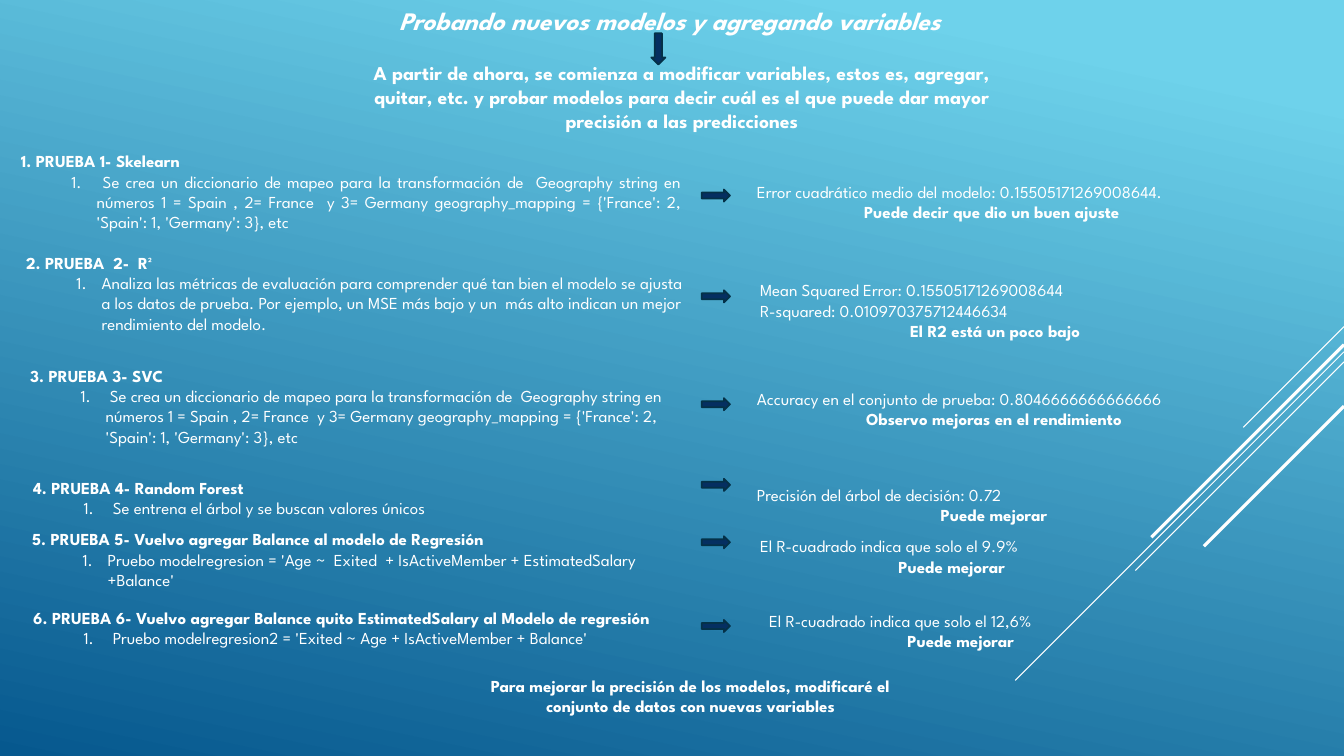
from collections import namedtuple

from lxml import etree
from pptx import Presentation
from pptx.dml.color import RGBColor
from pptx.enum.shapes import MSO_CONNECTOR, MSO_SHAPE
from pptx.enum.text import MSO_ANCHOR, MSO_AUTO_SIZE, PP_ALIGN
from pptx.oxml.ns import qn
from pptx.util import Inches, Pt

WHITE = RGBColor(0xFF, 0xFF, 0xFF)
SKY = RGBColor(0x6E, 0xD2, 0xEB)
OCEAN = RGBColor(0x06, 0x58, 0x8E)
NAVY = RGBColor(0x05, 0x2F, 0x61)
NAVY_EDGE = RGBColor(0x04, 0x31, 0x48)

LEFT, CENTER, JUSTIFY = PP_ALIGN.LEFT, PP_ALIGN.CENTER, PP_ALIGN.JUSTIFY
TOP, MIDDLE = MSO_ANCHOR.TOP, MSO_ANCHOR.MIDDLE
NO_FIT = MSO_AUTO_SIZE.NONE
STRAIGHT = MSO_CONNECTOR.STRAIGHT
RIGHT_ARROW, DOWN_ARROW = MSO_SHAPE.RIGHT_ARROW, MSO_SHAPE.DOWN_ARROW

FONT = "League Spartan"
SLIDE_WIDTH, SLIDE_HEIGHT = 13.33, 7.5
LINE_HEIGHT, BOX_PADDING = 0.2, 0.1
TEST_WIDTH, ARROW_LEFT = 6.75, 6.96

Test = namedtuple("Test", "left top lines heading detail align arrow_top")
Result = namedtuple("Result", "left top width findings verdict")

MAPPING = (" Se crea un diccionario de mapeo para la transformación de  Geography string en "
           "números 1 = Spain , 2= France  y 3= Germany geography_mapping = "
           "{'France': 2, 'Spain': 1, 'Germany': 3}, etc")
ROWS = [
    (Test(0.11, 1.45, 5, "1. PRUEBA 1- Skelearn", MAPPING, JUSTIFY, 1.88),
     Result(7.41, 1.75, 4.9, ["Error cuadrático medio del modelo: 0.15505171269008644."],
            "Puede decir que dio un buen ajuste ")),
    (Test(0.16, 2.46, 4, "2. PRUEBA  2-  R²",
          "Analiza las métricas de evaluación para comprender qué tan bien el modelo se "
          "ajusta a los datos de prueba. Por ejemplo, un MSE más bajo y un  más alto "
          "indican un mejor rendimiento del modelo.", LEFT, 2.88),
     Result(7.44, 2.73, 4.86, ["Mean Squared Error: 0.15505171269008644",
                               "R-squared: 0.010970375712446634"],
            "El R2 está un poco bajo")),
    (Test(0.2, 3.58, 5, "3. PRUEBA 3- SVC", MAPPING, LEFT, 3.95),
     Result(7.41, 3.81, 4.9, ["Accuracy en el conjunto de prueba: 0.8046666666666666"],
            "Observo mejoras en el rendimiento")),
    (Test(0.23, 4.69, 2, "4. PRUEBA 4- Random Forest",
          " Se entrena el árbol y se buscan valores únicos", LEFT, 4.75),
     Result(7.41, 4.76, 4.9, ["Precisión del árbol de decisión: 0.72"], "Puede mejorar")),
    (Test(0.22, 5.2, 3, "5. PRUEBA 5- Vuelvo agregar Balance al modelo de Regresión",
          "Pruebo modelregresion = 'Age ~  Exited  + IsActiveMember + EstimatedSalary "
          "+Balance'", LEFT, 5.32),
     Result(7.44, 5.27, 4, ["El R-cuadrado indica que solo el 9.9%"], "Puede mejorar")),
    (Test(0.23, 5.98, 3, "6. PRUEBA 6- Vuelvo agregar Balance quito EstimatedSalary al "
          "Modelo de regresión",
          " Pruebo modelregresion2 = 'Exited ~ Age + IsActiveMember + Balance'", LEFT, 6.15),
     Result(7.53, 6.01, 4, ["El R-cuadrado indica que solo el 12,6%"], "Puede mejorar")),
]

RAYS = [(3.24, 1, 0.75), (3.49, 3.26, 0.75), (3.59, 2.07, 0.75),
        (3.42, 1.91, 2.25), (4.03, 1.39, 2.25)]


def style(para, text, size=12, bold=False, italic=False, align=LEFT):
    """Fill a paragraph and set its look."""
    para.text = text
    para.alignment = align
    font = para.font
    font.name, font.size, font.bold, font.italic = FONT, Pt(size), bold, italic
    font.color.rgb = WHITE


def number(para):
    """Turn a paragraph into an indented numbered item."""
    para.level = 1
    properties = para._p.get_or_add_pPr()
    properties.set("marL", str(Inches(0.75)))
    properties.set("indent", str(Inches(-0.25)))
    bullet = etree.SubElement(properties, qn("a:buAutoNum"))
    bullet.set("type", "arabicPeriod")


def add_text(page, left, top, width, height):
    """Add a wrapping text box and return its frame."""
    box = page.shapes.add_textbox(Inches(left), Inches(top), Inches(width), Inches(height))
    frame = box.text_frame
    frame.word_wrap = True
    frame.vertical_anchor = TOP
    return frame


def add_arrow(page, kind, left, top, width, height):
    """Add a navy block arrow."""
    arrow = page.shapes.add_shape(kind, Inches(left), Inches(top), Inches(width), Inches(height))
    arrow.shadow.inherit = False
    arrow.fill.solid()
    arrow.fill.fore_color.rgb = NAVY
    arrow.line.color.rgb = NAVY_EDGE
    arrow.line.width = Pt(1.25)


def add_backdrop(page):
    """Paint the gradient and the diagonal rays at the right edge."""
    fill = page.background.fill
    fill.gradient()
    fill.gradient_angle = 360 - 102
    for stop, color, position in zip(fill.gradient_stops, (SKY, OCEAN), (0.1, 1)):
        stop.color.rgb = color
        stop.position = position
    for top, reach, weight in RAYS:
        ray = page.shapes.add_connector(
            STRAIGHT, Inches(SLIDE_WIDTH), Inches(top),
            Inches(SLIDE_WIDTH - reach), Inches(top + reach))
        ray.line.color.rgb = WHITE
        ray.line.width = Pt(weight)
        etree.SubElement(ray._element.spPr, qn("a:effectLst"))


def add_header(page, left, top, width):
    """Place the title, the arrow below it and the introduction."""
    title = page.shapes.title
    title.left, title.top = Inches(left), Inches(top)
    title.width, title.height = Inches(width), Inches(0.4)
    frame = title.text_frame
    frame.auto_size = NO_FIT
    frame.word_wrap = False
    frame.vertical_anchor = MIDDLE
    style(frame.paragraphs[0], "Probando nuevos modelos y agregando variables",
          18, bold=True, italic=True, align=CENTER)
    add_arrow(page, DOWN_ARROW, left + 2.98, top + 0.33, 0.14, 0.31)
    intro = add_text(page, left + 0.12, top + 0.56, width, 0.81)
    style(intro.paragraphs[0],
          "A partir de ahora, se comienza a modificar variables, estos es, agregar, quitar, "
          "etc. y probar modelos para decir cuál es el que puede dar mayor precisión a las "
          "predicciones", 14, bold=True, align=CENTER)


def add_test(page, test):
    """Place a test heading, its numbered detail and the arrow to its result."""
    frame = add_text(page, test.left, test.top, TEST_WIDTH,
                     test.lines * LINE_HEIGHT + BOX_PADDING)
    style(frame.paragraphs[0], test.heading, bold=True)
    detail = frame.add_paragraph()
    number(detail)
    style(detail, test.detail, align=test.align)
    add_arrow(page, RIGHT_ARROW, ARROW_LEFT, test.arrow_top, 0.28, 0.12)


def add_result(page, result):
    """Place the findings of a test with the verdict centred below."""
    lines = len(result.findings) + 1
    frame = add_text(page, result.left, result.top, result.width,
                     lines * LINE_HEIGHT + BOX_PADDING)
    for index, finding in enumerate(result.findings):
        style(frame.add_paragraph() if index else frame.paragraphs[0], finding)
    style(frame.add_paragraph(), result.verdict, bold=True, align=CENTER)


def add_conclusion(page, left, top, width):
    """Place the closing remark."""
    frame = add_text(page, left, top, width, 2 * LINE_HEIGHT + BOX_PADDING)
    style(frame.paragraphs[0],
          "Para mejorar la precisión de los modelos, modificaré el conjunto de datos con "
          "nuevas variables", bold=True, align=CENTER)


def main():
    """Build the slide and save the deck."""
    deck = Presentation()
    deck.slide_width, deck.slide_height = Inches(SLIDE_WIDTH), Inches(SLIDE_HEIGHT)
    page = deck.slides.add_slide(deck.slide_layouts[5])
    add_backdrop(page)
    add_header(page, 3.48, 0, 6.33)
    for test, result in ROWS:
        add_test(page, test)
        add_result(page, result)
    add_conclusion(page, 4.55, 6.65, 4.6)
    deck.save("out.pptx")


if __name__ == "__main__":
    main()
